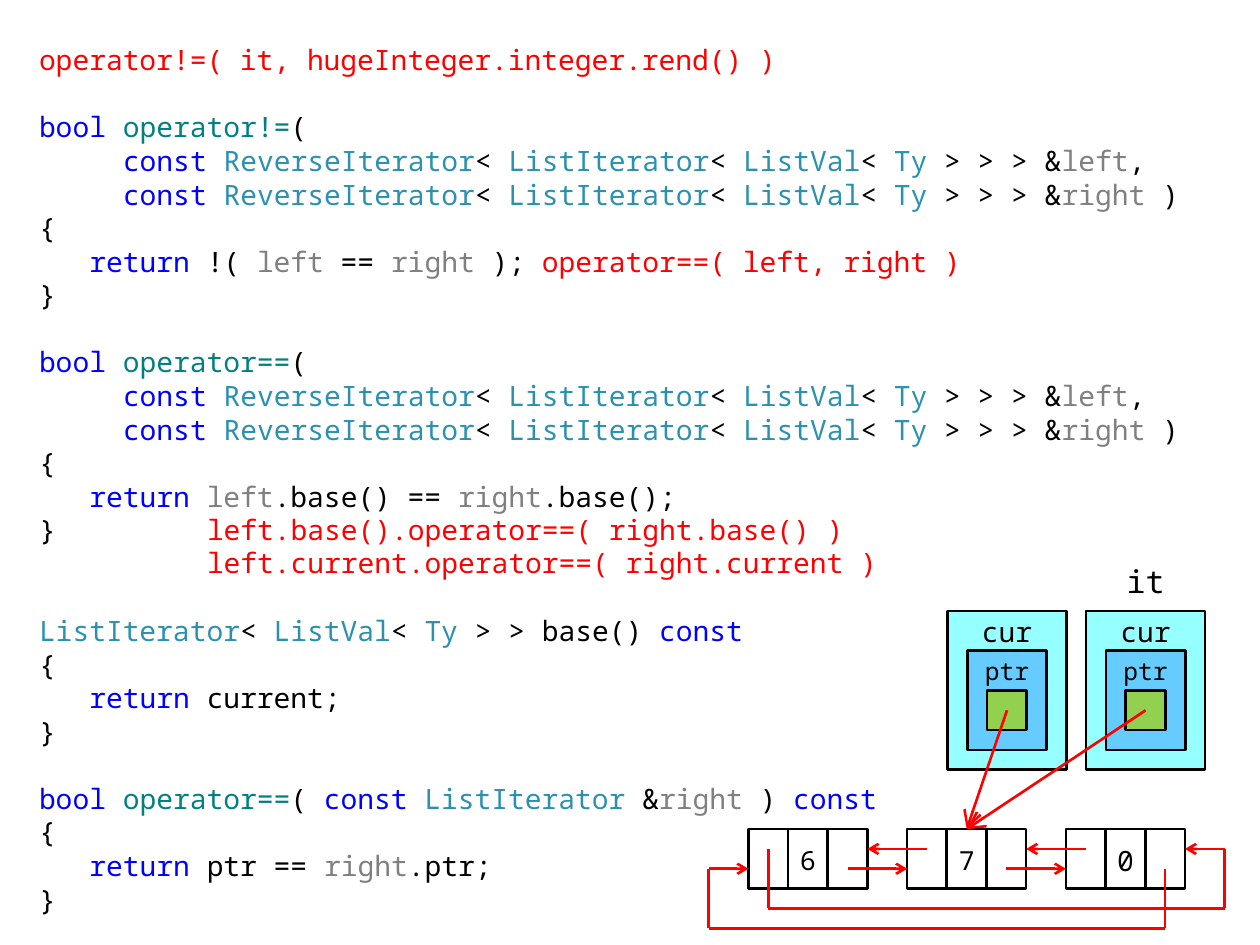
from lxml.etree import SubElement
from pptx import Presentation
from pptx.dml.color import RGBColor
from pptx.enum.shapes import MSO_CONNECTOR, MSO_SHAPE
from pptx.enum.text import MSO_ANCHOR, PP_ALIGN
from pptx.oxml.ns import qn
from pptx.util import Inches, Pt

FONT = "Noto Sans Mono"
BLACK = RGBColor(0x00, 0x00, 0x00)
RED = RGBColor(0xFF, 0x00, 0x00)
KEYWORD = RGBColor(0x00, 0x00, 0xFF)
OPERATOR = RGBColor(0x00, 0x80, 0x80)
TYPE = RGBColor(0x2B, 0x91, 0xAF)
ARGUMENT = RGBColor(0x80, 0x80, 0x80)
CYAN = RGBColor(0x96, 0xFF, 0xFF)
SKY = RGBColor(0x66, 0xCC, 0xFF)
GREEN = RGBColor(0x92, 0xD0, 0x50)

CELL = Inches(0.63) // 2
CHAR = Pt(9.6)  # advance of one 16 pt character
CODE_SIZE = Pt(16)
LINE = Pt(19.17)

LIST_VAL = [("ListIterator", TYPE), ("< ", BLACK), ("ListVal", TYPE),
            ("< ", BLACK), ("Ty", TYPE)]
LEFT, RIGHT = ("left", ARGUMENT), ("right", ARGUMENT)
OPEN, CLOSE = (0, [("{", BLACK)]), (0, [("}", BLACK)])
RETURN = ("return ", KEYWORD)


def comparison_head(operator):
    """Lines of a comparison's signature, up to its opening brace."""
    kind = [("const ", KEYWORD), ("ReverseIterator", TYPE), ("< ", BLACK),
            *LIST_VAL, (" > > > &", BLACK)]
    return [
        (0, [("bool ", KEYWORD), (operator, OPERATOR), ("(", BLACK)]),
        (5, [*kind, LEFT, (",", BLACK)]),
        (5, [*kind, RIGHT, (" )", BLACK)]),
        OPEN,
    ]


# A block is its gap above, in lines, and its lines;
# a line is its indent, in characters, and its spans.
CODE_BLOCKS = [
    (0, [(0, [("operator!=( it, hugeInteger.integer.rend() )", RED)])]),
    (1, [
        *comparison_head("operator!="),
        (3, [RETURN, ("!( ", BLACK), LEFT, (" == ", BLACK), RIGHT,
             (" ); ", BLACK), ("operator==( left, right )", RED)]),
        CLOSE,
    ]),
    (1, [
        *comparison_head("operator=="),
        (3, [RETURN, LEFT, (".base() == ", BLACK), RIGHT, (".base();", BLACK)]),
        CLOSE,
    ]),
    (2, [
        (0, [*LIST_VAL, (" > > base() ", BLACK), ("const", KEYWORD)]),
        OPEN,
        (3, [RETURN, ("current;", BLACK)]),
        CLOSE,
    ]),
    (1, [
        (0, [("bool ", KEYWORD), ("operator==", OPERATOR), ("( ", BLACK),
             ("const ", KEYWORD), ("ListIterator", TYPE), (" &", BLACK), RIGHT,
             (" ) ", BLACK), ("const", KEYWORD)]),
        OPEN,
        (3, [RETURN, ("ptr == ", BLACK), RIGHT, (".ptr;", BLACK)]),
        CLOSE,
    ]),
]
EXPANSION = [(0, [
    (0, [("left.base().operator==( right.base() )", RED)]),
    (0, [("left.current.operator==( right.current )", RED)]),
])]
EXPANSION_ROW, EXPANSION_COLUMN = 14, 10


def add_code(page, left, top, width, height, blocks):
    frame = page.shapes.add_textbox(left, top, width, height).text_frame
    frame.word_wrap = True
    frame.margin_left = frame.margin_right = Inches(0.03)
    frame.margin_top = frame.margin_bottom = Inches(0.05)
    para = None
    for gap, lines in blocks:
        for line_index, (indent, spans) in enumerate(lines):
            para = frame.add_paragraph() if para else frame.paragraphs[0]
            if gap and line_index == 0:
                para.space_before = gap * LINE
            properties = para._p.get_or_add_pPr()
            properties.set("marL", str(indent * CHAR))
            properties.set("indent", "0")
            para.font.name = FONT
            para.font.size = CODE_SIZE
            for text, color in spans:
                span = para.add_run()
                span.text = text
                span.font.color.rgb = color


def add_label(shape, text, size, top_margin=0):
    frame = shape.text_frame
    frame.word_wrap = False
    frame.vertical_anchor = MSO_ANCHOR.MIDDLE
    frame.margin_left = frame.margin_right = frame.margin_bottom = 0
    frame.margin_top = top_margin
    para = frame.paragraphs[0]
    para.text = text
    para.alignment = PP_ALIGN.CENTER
    para.font.name = FONT
    para.font.size = size
    para.font.color.rgb = BLACK


def add_box(page, left, top, width, height, fill=None, kind=MSO_SHAPE.RECTANGLE):
    box = page.shapes.add_shape(kind, left, top, width, height)
    box.shadow.inherit = False
    if fill is None:
        box.fill.background()
    else:
        box.fill.solid()
        box.fill.fore_color.rgb = fill
    box.line.color.rgb = BLACK
    box.line.width = Pt(1.5)
    return box


def add_route(page, *points, head="med"):
    """Joins the points with red lines, puts an arrowhead at the last one."""
    for start, end in zip(points, points[1:]):
        line = page.shapes.add_connector(MSO_CONNECTOR.STRAIGHT, *start, *end)
        line.line.color.rgb = RED
        line.line.width = Pt(1.5)
        SubElement(line._element.spPr, qn("a:effectLst"))
    SubElement(line.line._get_or_add_ln(), qn("a:tailEnd"),
               type="arrow", w=head, len=head)
    return line


def add_node(page, left, top, value, size):
    """Draws previous, value and next cells; returns the value cell."""
    cells = [add_box(page, left + i * CELL, top, CELL, CELL * 3 // 2)
             for i in range(3)]
    add_label(cells[1], value, size, Inches(0.02))
    return cells[1]


def add_linked_list(page, left, top):
    """Draws the circular list; returns the middle node's value cell."""
    pitch = 4 * CELL
    nodes = [add_node(page, left + i * pitch, top, value, Pt(size))
             for i, (value, size) in enumerate([("6", 15), ("7", 15), ("0", 16)])]
    back, forward = top + CELL // 2, top + CELL
    half, width = CELL // 2, 3 * CELL
    for start in (left, left + pitch):
        add_route(page, (start + pitch + half, back), (start + width, back))
        add_route(page, (start + width - half, forward), (start + pitch, forward))
    last = left + 2 * pitch
    right_edge, left_edge = last + pitch, left - CELL
    upper, lower = top + 2 * CELL, top + CELL * 5 // 2
    add_route(page, (left + half, back), (left + half, upper), (right_edge, upper),
              (right_edge, back), (last + width, back))
    add_route(page, (last + width - half, forward), (last + width - half, lower),
              (left_edge, lower), (left_edge, forward), (left, forward))
    return nodes[1]


def add_iterator(page, left, top):
    """Draws nested cur and ptr boxes; returns the pointer's centre."""
    process = MSO_SHAPE.FLOWCHART_PROCESS
    inner = left + CELL // 2
    add_box(page, left, top, 3 * CELL, 4 * CELL, CYAN, process)
    add_box(page, inner, top + CELL, 2 * CELL, CELL * 5 // 2, SKY, process)
    add_box(page, left + CELL, top + 2 * CELL, CELL, CELL, GREEN)
    for row, (text, size) in enumerate([("cur", Pt(16)), ("ptr", Pt(14))]):
        label = add_box(page, inner, top + row * CELL, 2 * CELL, CELL, kind=process)
        label.line.fill.background()
        add_label(label, text, size)
    return left + CELL * 3 // 2, top + CELL * 5 // 2


def add_iterators(page, left, top, target):
    pitch = Inches(1.1)
    name = page.shapes.add_textbox(left + pitch + CELL // 2, top - CELL * 3 // 2,
                                   2 * CELL, CELL * 3 // 2)
    add_label(name, "it", Pt(18))
    centres = [add_iterator(page, left + i * pitch, top) for i in range(2)]
    for centre in centres:
        arrow = add_route(page, centre, (target.left + CELL // 2, target.top),
                          head="lg")
        arrow.end_connect(target, 0)


def main():
    deck = Presentation()
    deck.slide_width, deck.slide_height = Inches(10), Inches(7.5)
    page = deck.slides.add_slide(deck.slide_layouts[6])
    left, top = Inches(0.28), Inches(0.29)
    add_code(page, left, top, Inches(9.45), Inches(7.09), CODE_BLOCKS)
    add_code(page, left + EXPANSION_COLUMN * CHAR, top + EXPANSION_ROW * LINE,
             Inches(5.5), Inches(0.63), EXPANSION)
    target = add_linked_list(page, Inches(5.94), Inches(6.58))
    add_iterators(page, Inches(7.52), Inches(4.85), target)
    deck.save("out.pptx")


if __name__ == "__main__":
    main()
